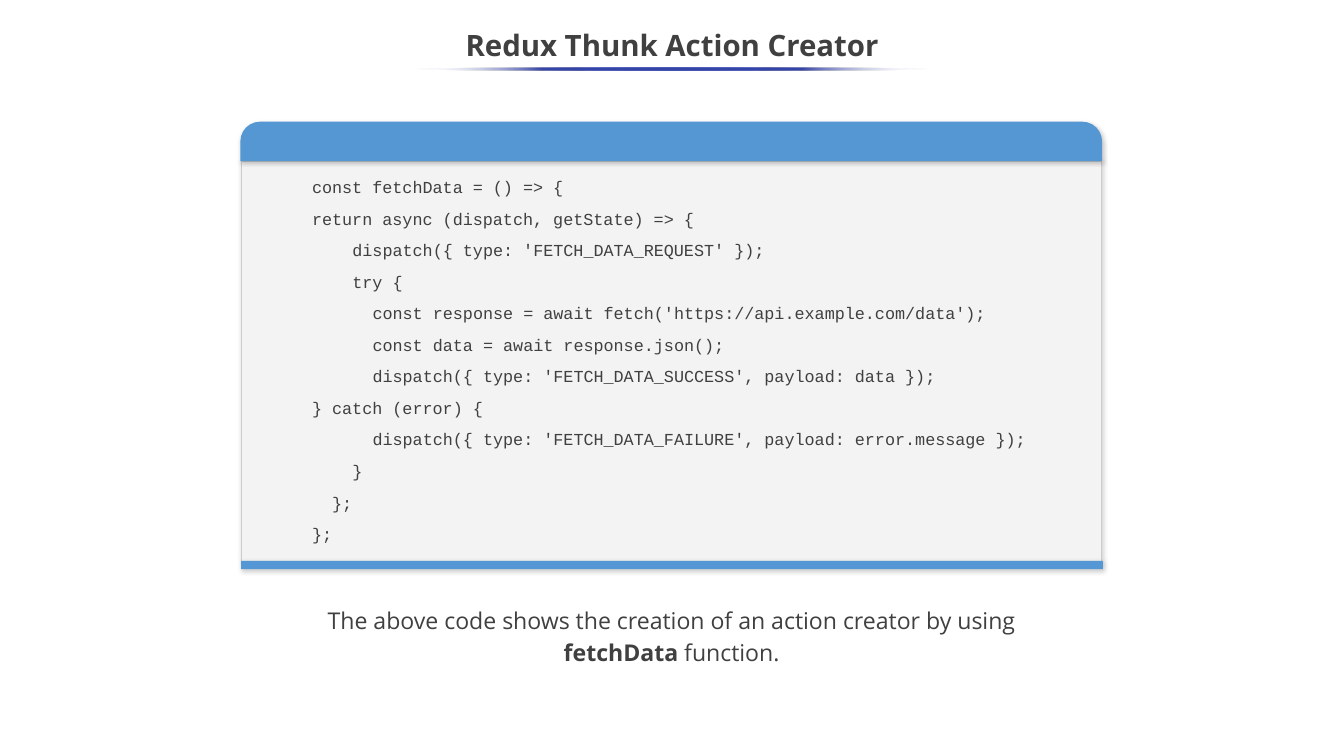
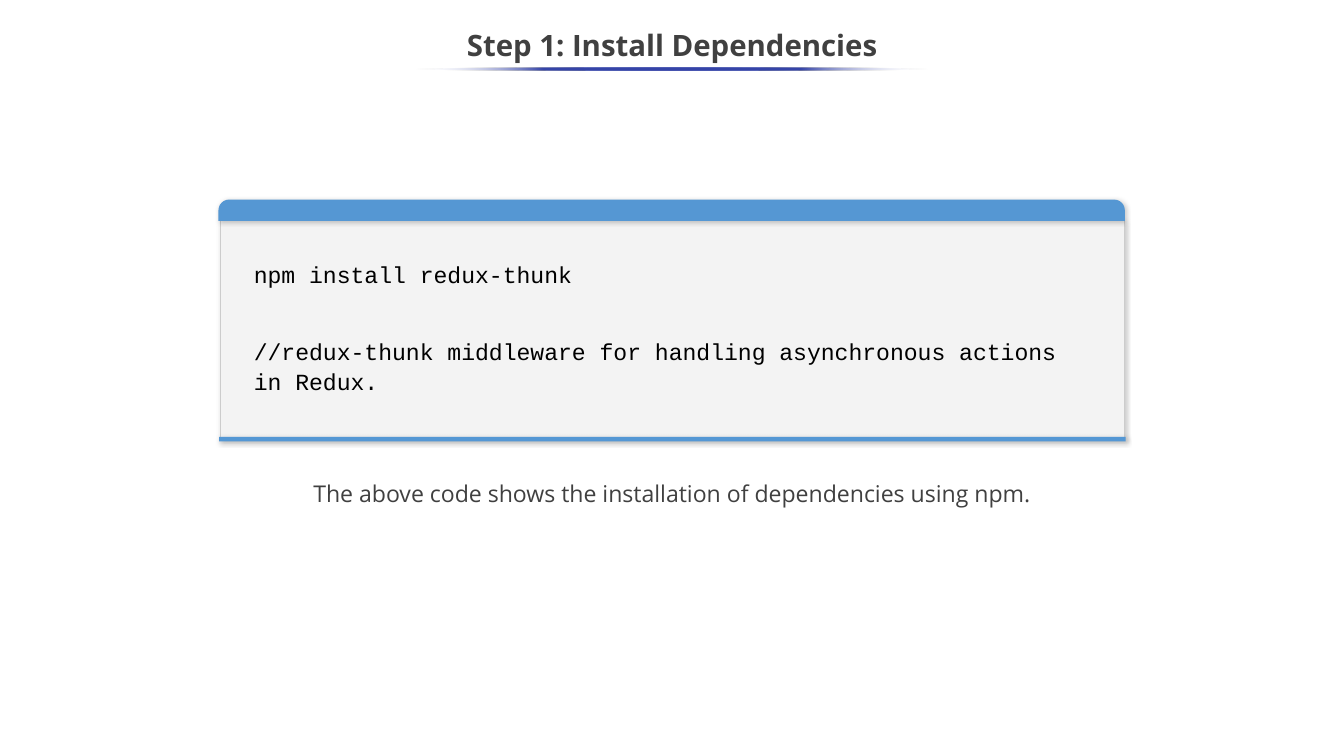
from lxml.etree import SubElement
from pptx import Presentation
from pptx.dml.color import RGBColor
from pptx.enum.shapes import MSO_SHAPE
from pptx.enum.text import MSO_ANCHOR, PP_ALIGN
from pptx.oxml import parse_xml
from pptx.oxml.ns import nsdecls, qn
from pptx.util import Inches, Pt

SLIDE_WIDTH, SLIDE_HEIGHT = 17.78, 10
TEXT_COLOR, BLACK = "404040", "000000"
PANEL_FILL, PANEL_EDGE = "F3F3F3", "CCCCCC"
HEADER_BLUE, FOOTER_BLUE = "5597D3", "5497D4"
RULE_BLUE, RULE_FADE = "3645A9", "FFFFFF"
PROSE_FONT, CODE_FONT = "Open Sans", "Courier New"
CODE_CHAR_WIDTH = 0.6  # share of the font size

# Each code line is (indent in characters, text); each caption run is (text, bold).
SLIDES = [
    {
        "title": "Redux Thunk Action Creator",
        "rule_width": 6.83,
        "panel": {"left": 3.18, "top": 1.61, "width": 11.4,
                  "header": 0.52, "body": 5.29, "footer": 0.11},
        "code_box": (4.03, 2.25, 9.72, 5.04),
        "code_style": {"size": 16, "color": TEXT_COLOR, "line": 1.15, "after": 8},
        "code": [
            (0, "const fetchData = () => {"),
            (0, "return async (dispatch, getState) => {"),
            (4, "dispatch({ type: 'FETCH_DATA_REQUEST' });"),
            (4, "try {"),
            (6, "const response = await fetch('https://api.example.com/data');"),
            (6, "const data = await response.json();"),
            (6, "dispatch({ type: 'FETCH_DATA_SUCCESS', payload: data });"),
            (0, "} catch (error) {"),
            (6, "dispatch({ type: 'FETCH_DATA_FAILURE', payload: error.message });"),
            (4, "}"),
            (2, "};"),
            (0, "};"),
        ],
        "caption_box": (3.87, 7.92, 10.03, 0.93),
        "caption": [
            ("The above code shows the creation of an action creator by using ", False),
            ("fetchData ", True),
            ("function.", False),
        ],
    },
    {
        "title": "Step 1: Install Dependencies",
        "rule_width": 6.78,
        "panel": {"left": 2.89, "top": 2.64, "width": 11.99,
                  "header": 0.28, "body": 2.86, "footer": 0.06},
        "code_box": (3.26, 3.37, 11.25, 1.9),
        "code_style": {"size": 22, "color": BLACK, "line": 1.07, "after": 45},
        "code": [
            (0, "npm install redux-thunk"),
            (0, "//redux-thunk middleware for handling asynchronous actions in Redux."),
        ],
        "caption_box": (3.05, 6.24, 11.68, 0.5),
        "caption": [
            ("The above code shows the installation of dependencies using npm.", False),
        ],
    },
]


def rgb(color):
    return RGBColor.from_string(color)


def add_text_frame(slide, box, anchor=MSO_ANCHOR.TOP):
    frame = slide.shapes.add_textbox(*map(Inches, box)).text_frame
    frame.word_wrap = True
    frame.vertical_anchor = anchor
    return frame


def style(paragraph, font, size, color, line, align=PP_ALIGN.LEFT):
    paragraph.font.name = font
    paragraph.font.size = Pt(size)
    paragraph.font.color.rgb = rgb(color)
    paragraph.line_spacing = line
    paragraph.alignment = align


def add_soft_shadow(shape):
    effects = SubElement(shape._element.spPr, qn("a:effectLst"))
    shadow = SubElement(effects, qn("a:outerShdw"), blurRad=str(Pt(4.5)),
                        dist=str(Pt(1.5)), dir=str(47 * 60000), rotWithShape="0")
    black = SubElement(shadow, qn("a:srgbClr"), val=BLACK)
    SubElement(black, qn("a:alpha"), val="20000")


def add_panel_part(slide, preset, box, fill, edge=None):
    part = slide.shapes.add_shape(preset, *map(Inches, box))
    part.fill.solid()
    part.fill.fore_color.rgb = rgb(fill)
    if edge:
        part.line.color.rgb = rgb(edge)
        part.line.width = Pt(0.75)
    else:
        part.line.fill.background()
    add_soft_shadow(part)
    return part


def add_panel(slide, left, top, width, header, body, footer):
    """Code window: body, bottom strip and rounded header stacked without gaps."""
    body_top = top + header
    add_panel_part(slide, MSO_SHAPE.RECTANGLE,
                   (left + 0.02, body_top, width - 0.03, body), PANEL_FILL, PANEL_EDGE)
    add_panel_part(slide, MSO_SHAPE.RECTANGLE,
                   (left + 0.01, body_top + body, width, footer), FOOTER_BLUE)
    cap = add_panel_part(slide, MSO_SHAPE.ROUND_2_SAME_RECTANGLE,
                         (left, top, width, header), HEADER_BLUE)
    cap.adjustments[0], cap.adjustments[1] = 0.5, 0


def add_title(slide, title, rule_width):
    frame = add_text_frame(slide, (0, 0.25, SLIDE_WIDTH, 0.75), MSO_ANCHOR.MIDDLE)
    heading = frame.paragraphs[0]
    heading.text = title
    style(heading, PROSE_FONT, 28, TEXT_COLOR, 0.9, PP_ALIGN.CENTER)
    heading.font.bold = True

    rule_left = (SLIDE_WIDTH - rule_width) / 2
    rule = slide.shapes.add_shape(
        MSO_SHAPE.OVAL, *map(Inches, (rule_left, 0.89, rule_width, 0.04)))
    rule.shadow.inherit = False
    rule.line.fill.background()
    fade = f'<a:srgbClr val="{RULE_FADE}"><a:alpha val="0"/></a:srgbClr>'
    solid = f'<a:srgbClr val="{RULE_BLUE}"/>'
    stops = "".join(f'<a:gs pos="{position * 1000}">{color}</a:gs>' for position, color in
                    [(0, fade), (25, solid), (50, solid), (75, solid), (100, fade)])
    gradient = parse_xml(f'<a:gradFill {nsdecls("a")} rotWithShape="1"><a:gsLst>{stops}'
                         '</a:gsLst><a:lin ang="10800000" scaled="0"/></a:gradFill>')
    rule._element.spPr.find(qn("a:prstGeom")).addnext(gradient)


def add_code(slide, box, code, size, color, line, after):
    frame = add_text_frame(slide, box)
    for number, (indent, text) in enumerate(code):
        code_line = frame.add_paragraph() if number else frame.paragraphs[0]
        code_line.text = text
        style(code_line, CODE_FONT, size, color, line)
        code_line.space_after = Pt(after)
        margin = Pt(indent * size * CODE_CHAR_WIDTH)
        code_line._p.get_or_add_pPr().set("marL", str(margin))


def add_caption(slide, box, caption):
    sentence = add_text_frame(slide, box).paragraphs[0]
    style(sentence, PROSE_FONT, 22, TEXT_COLOR, 1.15, PP_ALIGN.CENTER)
    for text, bold in caption:
        run = sentence.add_run()
        run.text = text
        run.font.bold = bold


def main():
    deck = Presentation()
    deck.slide_width, deck.slide_height = Inches(SLIDE_WIDTH), Inches(SLIDE_HEIGHT)
    for content in SLIDES:
        slide = deck.slides.add_slide(deck.slide_layouts[6])
        add_title(slide, content["title"], content["rule_width"])
        add_panel(slide, **content["panel"])
        add_code(slide, content["code_box"], content["code"], **content["code_style"])
        add_caption(slide, content["caption_box"], content["caption"])
    deck.save("out.pptx")


if __name__ == "__main__":
    main()
